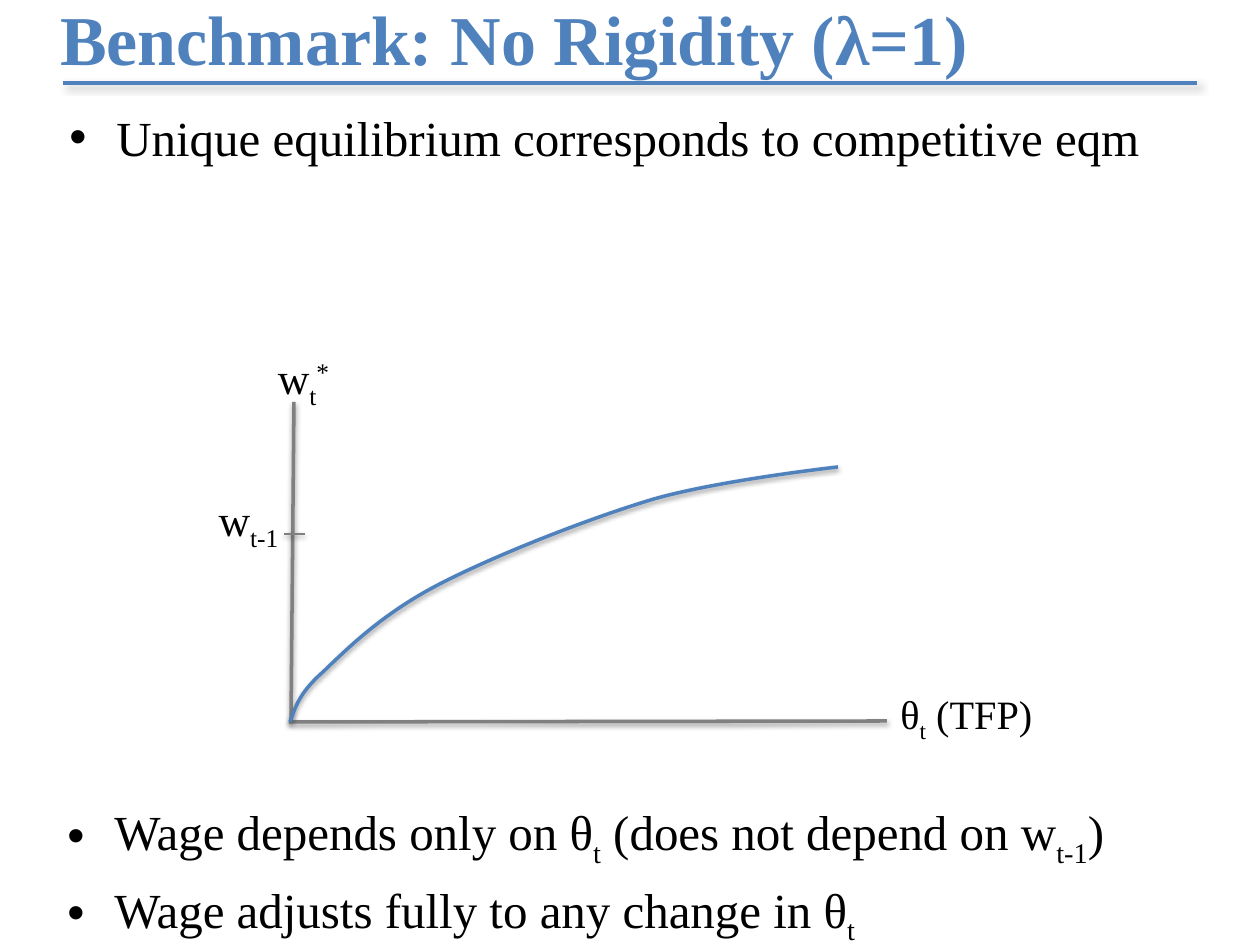
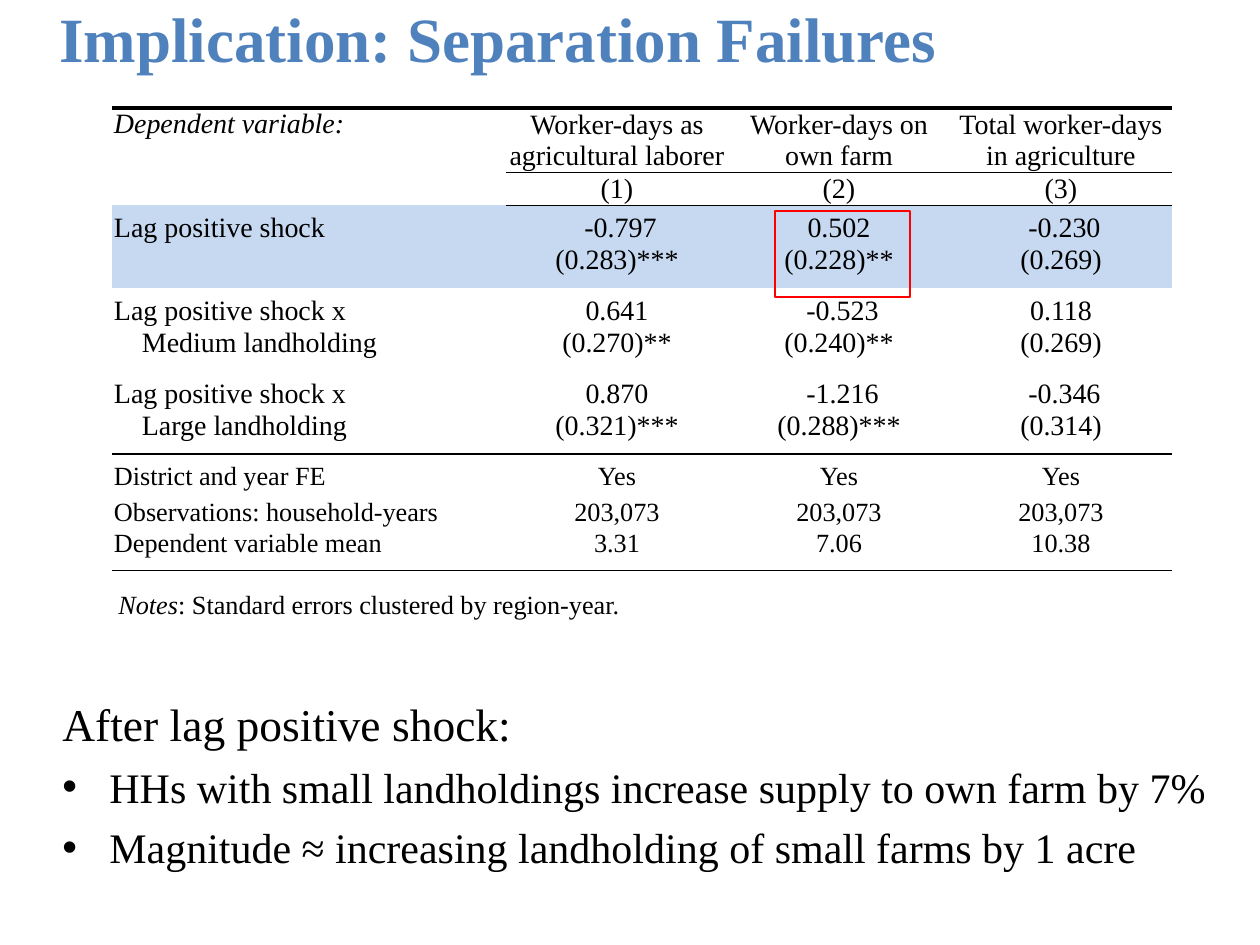
import pptx
import pptx.util
import pptx.dml.color
import pptx.enum.shapes
import pptx.enum.text
import pptx.oxml
import pptx.oxml.ns
from lxml import etree

PX = 914400 / 126
FONT = "Times New Roman"
HUES = {"blue": "4F81BD", "black": "000000", "gray": "808080", "band": "C6D9F1", "red": "FF0000"}
ALIGN = pptx.enum.text.PP_ALIGN
ANCHOR = pptx.enum.text.MSO_ANCHOR
STRAIGHT = pptx.enum.shapes.MSO_CONNECTOR.STRAIGHT
PLAIN = "{2D5ABB26-0587-4C30-8999-92F81FD0307C}"
RULE_GLOW = (43, 4, 3, 45)
PLOT_GLOW = (38, 3.1, 1.6, 90)

ROWS = [
    ("Lag positive shock", " -0.797\n(0.283)***", "0.502\n(0.228)**", " -0.230\n(0.269)"),
    ("Lag positive shock x\nMedium landholding", "0.641\n(0.270)**", " -0.523\n(0.240)**", "0.118\n(0.269)"),
    ("Lag positive shock x\nLarge landholding", "0.870\n(0.321)***", " -1.216\n(0.288)***", " -0.346\n(0.314)"),
    ("District and year FE", "Yes", "Yes", "Yes"),
    ("Observations: household-years", "203,073", "203,073", "203,073"),
    ("Dependent variable mean", "3.31", "7.06", "10.38"),
]
HEADS = [
    ("Dependent variable:", "Worker-days as agricultural laborer", "Worker-days on own farm",
     "Total worker-days in agriculture"),
    ("", "(1)", "(2)", "(3)"),
]
HEIGHTS = (64, 33, 83, 83, 83, 43, 31, 43)
WIDTHS = (394, 222, 222, 222)


def emu(px):
    """Turn px into EMU."""
    return pptx.util.Emu(round(px * PX))


def place(box):
    """Turn a px box into EMU lengths."""
    return [emu(n) for n in box]


def hue(name):
    """Give a named colour."""
    return pptx.dml.color.RGBColor.from_string(HUES[name])


def tag(root, name, **attrs):
    """Add a drawing element below a root."""
    node = etree.SubElement(root, pptx.oxml.ns.qn("a:" + name))
    for key, val in attrs.items():
        node.set(key, str(val))
    return node


def write(para, runs, size, color="black", bold=False):
    """Add runs, each a string or a (text, baseline, italic) tuple."""
    for part in runs:
        text, base, slant = (part, 0, False) if isinstance(part, str) else part
        run = para.add_run()
        run.text = text
        font = run.font
        font.name, font.size, font.bold, font.italic = FONT, pptx.util.Pt(size), bold, slant
        font.color.rgb = hue(color)
        if base:
            font._element.set("baseline", str(base * 1000))


def label(shapes, box, runs, size, align=ALIGN.LEFT, color="black", bold=False, anchor=ANCHOR.TOP):
    """Add a text box of one paragraph."""
    frame = shapes.add_textbox(*place(box)).text_frame
    frame.word_wrap = True
    frame.vertical_anchor = anchor
    frame.paragraphs[0].alignment = align
    write(frame.paragraphs[0], runs, size, color, bold)


def title(slide, box, text, size):
    """Add the slide title."""
    label(slide.shapes, box, [text], size, color="blue", bold=True, anchor=ANCHOR.MIDDLE)


def body(slide, box, items):
    """Add paragraphs given as (runs, size, bullet)."""
    frame = slide.shapes.add_textbox(*place(box)).text_frame
    frame.word_wrap = True
    frame.margin_top = emu(11)
    for i, (runs, size, dot) in enumerate(items):
        para = frame.add_paragraph() if i else frame.paragraphs[0]
        if i:
            para.space_before = pptx.util.Pt(6)
        props = para._p.get_or_add_pPr()
        props.set("marL", str(emu(47)))
        props.set("indent", str(emu(-47)))
        if dot:
            tag(props, "buFont", typeface="Arial")
            tag(props, "buChar", char="•")
        write(para, runs, size)


def ink(shape, color, width, glow):
    """Set a line and its shadow as (alpha, blur, distance, angle)."""
    shape.line.color.rgb = hue(color)
    shape.line.width = pptx.util.Pt(width)
    alpha, blur, dist, angle = glow
    shade = tag(tag(shape._element.spPr, "effectLst"), "outerShdw", blurRad=pptx.util.Pt(blur),
                dist=pptx.util.Pt(dist), dir=angle * 60000, algn="tl", rotWithShape=0)
    tag(tag(shade, "srgbClr", val=HUES["black"]), "alpha", val=alpha * 1000)


def stroke(shapes, ends, color, width, glow):
    """Add a straight line."""
    ink(shapes.add_connector(STRAIGHT, *place(ends)), color, width, glow)


def curve(shapes, points):
    """Draw a chain of cubic curves through a start and control triples."""
    maker = shapes.build_freeform(*points[0], scale=PX)
    maker.add_line_segments(points[1:], close=False)
    shape = maker.convert_to_shape()
    shape.fill.background()
    track = shape._element.find(".//" + pptx.oxml.ns.qn("a:path"))
    steps = track.findall(pptx.oxml.ns.qn("a:lnTo"))
    for i in range(0, len(steps), 3):
        bend = tag(track, "cubicBezTo")
        for step in steps[i:i + 3]:
            bend.append(step[0])
            track.remove(step)
    ink(shape, "blue", 2, PLOT_GLOW)


def plot(slide, x, y):
    """Draw the wage curve with its axes and labels."""
    shapes = slide.shapes.add_group_shape().shapes
    label(shapes, (x + 54, y, 105, 66), ["w", ("t", -25, False), ("*", 30, False)], 25, ALIGN.CENTER)
    for ends, width in (((97, 57, 94, 375), 2), ((92, 377, 690, 376), 2), ((108, 189, 87, 189), 1)):
        a, b, c, d = ends
        stroke(shapes, (x + a, y + b, x + c, y + d), "gray", width, PLOT_GLOW)
    label(shapes, (x + 691, y + 338, 224, 97), ["θ", ("t", -25, False), " (TFP)"], 23)
    marks = [(93, 377), (98, 364), (101, 349), (126, 327), (150, 304), (184, 270), (239, 241),
             (294, 212), (390, 174), (457, 154), (524, 135), (641, 122), (641, 122)]
    curve(shapes, [(x + a, y + b) for a, b in marks])
    label(shapes, (x, y + 142, 103, 66), ["w", ("t-1", -25, False)], 25, ALIGN.CENTER)


def edge(cell, side, width):
    """Draw one cell border."""
    line = tag(cell._tc.get_or_add_tcPr(), "ln" + side, w=pptx.util.Pt(width))
    tag(tag(line, "solidFill"), "srgbClr", val=HUES["black"])


def fill(cell, text, row, col):
    """Set the text, margins, borders and fill of a cell."""
    top = 8 if 2 <= row <= 5 else 1
    low = 6 if 2 <= row <= 4 else 0
    cell.margin_left = cell.margin_right = emu(2)
    cell.margin_top, cell.margin_bottom = emu(top), emu(low)
    cell.vertical_anchor = ANCHOR.BOTTOM if row < 2 and col else ANCHOR.TOP
    frame = cell.text_frame
    for i, part in enumerate(text.split("\n") if text else []):
        para = frame.add_paragraph() if i else frame.paragraphs[0]
        para.alignment = ALIGN.CENTER if col else ALIGN.LEFT
        if i and not col:
            para._p.get_or_add_pPr().set("marL", str(emu(28)))
        write(para, [(part, 0, row == col == 0)], 16 if row < 5 else 15)
    if row == 0:
        edge(cell, "T", 2)
    low_edge = {0: 0.5 if col else 0, 1: 0.5, 4: 1, 7: 0.5}.get(row)
    if low_edge:
        edge(cell, "B", low_edge)
    if row == 2:
        cell.fill.solid()
        cell.fill.fore_color.rgb = hue("band")
    else:
        cell.fill.background()


def results(slide, x, y):
    """Add the regression table, its notes and the red frame."""
    data = HEADS + ROWS
    box = (x, y, sum(WIDTHS), sum(HEIGHTS))
    table = slide.shapes.add_table(len(data), len(WIDTHS), *place(box)).table
    table.first_row = table.horz_banding = False
    table._tbl.tblPr.find(pptx.oxml.ns.qn("a:tableStyleId")).text = PLAIN
    for col, width in zip(table.columns, WIDTHS):
        col.width = emu(width)
    for row, height in zip(table.rows, HEIGHTS):
        row.height = emu(height)
    table.cell(0, 0).merge(table.cell(1, 0))
    for i, row in enumerate(data):
        for j, text in enumerate(row):
            fill(table.cell(i, j), text, i, j)
    label(slide.shapes, (x - 6, y + 474, 969, 44),
          [("Notes", 0, True), ": Standard errors clustered by region-year."], 15)
    frame = slide.shapes.add_shape(pptx.enum.shapes.MSO_SHAPE.RECTANGLE,
                                   *place((x + 663, y + 103, 135, 86)))
    frame.shadow.inherit = False
    frame.fill.background()
    frame.line.color.rgb = hue("red")
    frame.line.width = pptx.util.Pt(1.5)


def bench(slide):
    """Build the benchmark slide."""
    title(slide, (48, 6, 1134, 63), "Benchmark: No Rigidity (λ=1)", 40)
    body(slide, (57, 96, 1152, 84), [(["Unique equilibrium corresponds to competitive eqm"], 28, True)])
    stroke(slide.shapes, (63, 83, 1197, 83), "blue", 2, RULE_GLOW)
    plot(slide, 197, 345)
    sub = ("t", -25, False)
    body(slide, (55, 791, 1184, 154), [
        (["Wage depends only on θ", sub, " (does not depend on w", ("t-1", -25, False), ")"], 28, True),
        (["Wage adjusts fully to any change in θ", sub], 28, True)])


def split(slide):
    """Build the separation failures slide."""
    results(slide, 112, 108)
    title(slide, (47, 6, 1213, 63), "Implication: Separation Failures", 36)
    body(slide, (50, 685, 1201, 203), [
        (["After lag positive shock:"], 26, False),
        (["HHs with small landholdings increase supply to own farm by 7%"], 24, True),
        (["Magnitude ≈ increasing landholding of small farms by 1 acre"], 24, True)])


def main():
    """Build and save the deck."""
    deck = pptx.Presentation()
    deck.slide_width, deck.slide_height = emu(1260), emu(945)
    for build in (bench, split):
        build(deck.slides.add_slide(deck.slide_layouts[6]))
    deck.save("out.pptx")


if __name__ == "__main__":
    main()
